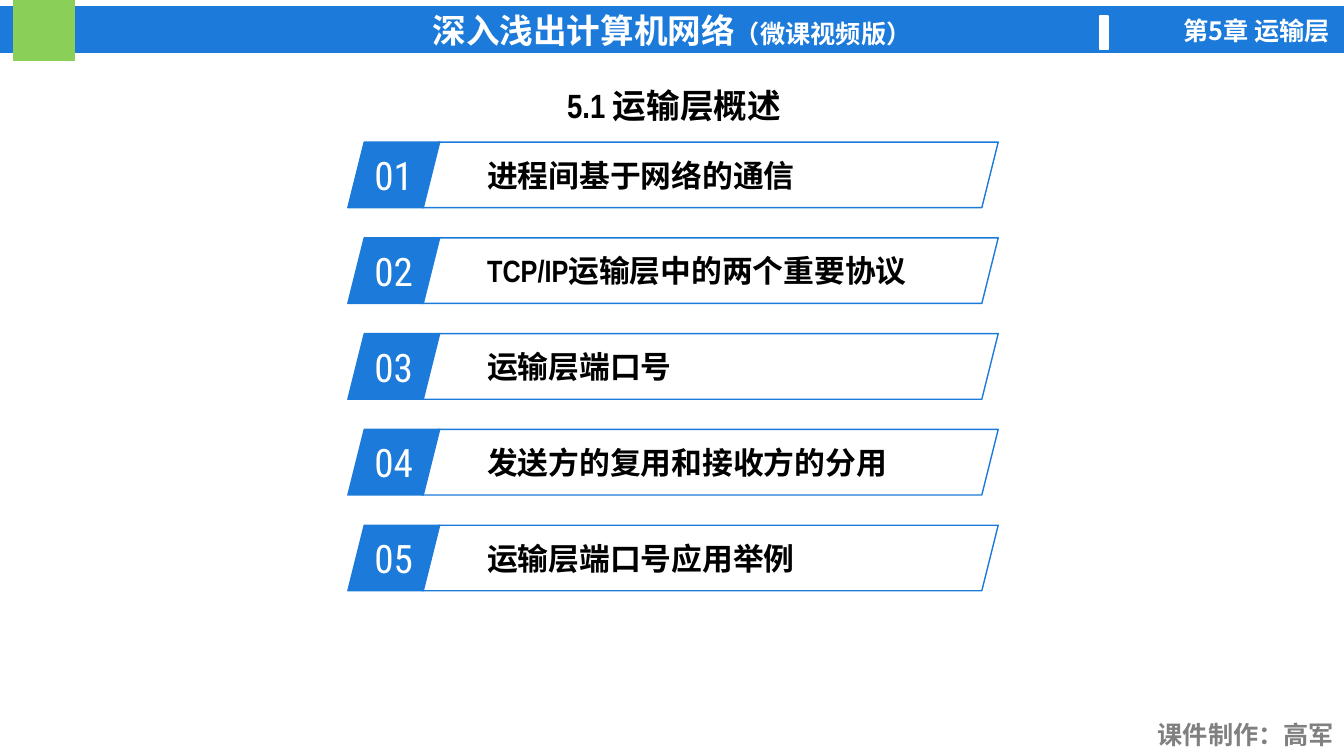
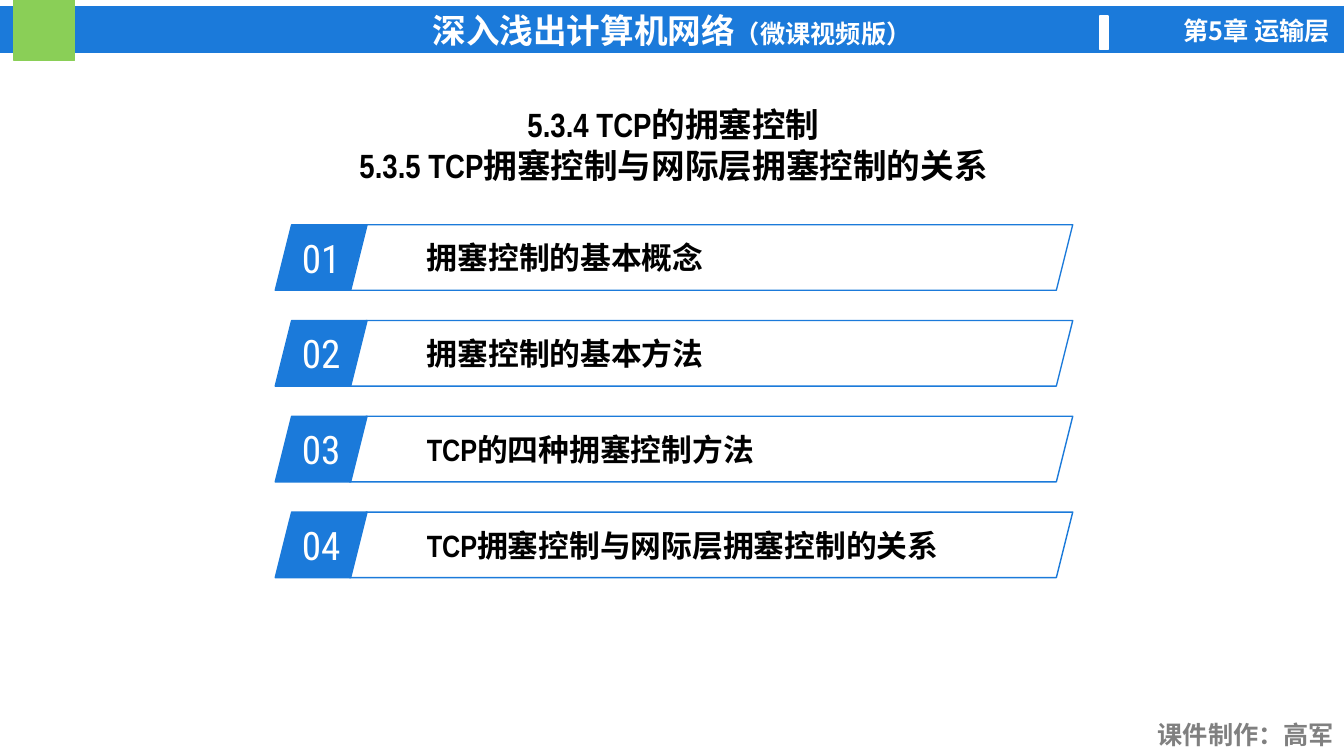
from dataclasses import dataclass

from lxml.etree import SubElement
from pptx import Presentation
from pptx.dml.color import RGBColor
from pptx.enum.lang import MSO_LANGUAGE_ID
from pptx.enum.shapes import MSO_SHAPE, PP_PLACEHOLDER
from pptx.enum.text import MSO_ANCHOR, MSO_AUTO_SIZE, PP_ALIGN
from pptx.oxml.ns import qn
from pptx.util import Inches, Pt


@dataclass(frozen=True)
class Theme:
    blue: str = "1B7ADA"
    green: str = "8ACF57"
    white: str = "FFFFFF"
    black: str = "000000"
    grey: str = "808080"
    narrow: str = "Arial Narrow"
    condensed: str = "Roboto Condensed"
    sans: str = "Noto Sans CJK SC"
    heading: int = 24
    small: int = 18
    item: int = 22
    number: int = 28


theme = Theme()

# Text styles: colour and typeface, then font attributes
book_style = dict(color=theme.white, name=theme.narrow, size=Pt(theme.heading), bold=True)
edition_style = book_style | dict(size=Pt(theme.small))
chapter_style = edition_style | dict(name=theme.sans)
credit_style = edition_style | dict(color=theme.grey)
heading_style = book_style | dict(color=theme.black)
item_style = heading_style | dict(size=Pt(theme.item))
condensed_style = item_style | dict(name=theme.condensed)
number_style = dict(color=theme.white, name=theme.condensed, size=Pt(theme.number), bold=False)

deck = Presentation()
deck.slide_width, deck.slide_height = Inches(13.33), Inches(7.5)


def place(part, area):
    """Put a part at left, top, width, height in percent of the slide."""
    sides = (deck.slide_width, deck.slide_height) * 2
    for edge, share, side in zip(("left", "top", "width", "height"), area, sides):
        setattr(part, edge, round(side * share / 100))
    return part


def write(part, lines, align, frame_format):
    """Fill a part with lines, each a list of (text, style) runs."""
    frame = part.text_frame
    for key, value in (dict(word_wrap=True) | frame_format).items():
        setattr(frame, key, value)
    for index, line in enumerate(lines):
        paragraph = frame.add_paragraph() if index else frame.paragraphs[0]
        paragraph.alignment = align
        for text, style in line:
            run = paragraph.add_run()
            run.text = text
            run.font.language_id = MSO_LANGUAGE_ID.SIMPLIFIED_CHINESE
            for key, value in style.items():
                if key == "color":
                    run.font.color.rgb = RGBColor.from_string(value)
                else:
                    setattr(run.font, key, value)
            east_asian = SubElement(run.font._element, qn("a:ea"))
            east_asian.set("typeface", style["name"])


middle = dict(vertical_anchor=MSO_ANCHOR.MIDDLE, auto_size=MSO_AUTO_SIZE.NONE)
growing = dict(vertical_anchor=MSO_ANCHOR.TOP, auto_size=MSO_AUTO_SIZE.SHAPE_TO_FIT_TEXT)

# Layout with only a title placeholder
layout = deck.slide_layouts.get_by_name("Title Only")
for placeholder in list(layout.placeholders):
    if placeholder.placeholder_format.type != PP_PLACEHOLDER.TITLE:
        placeholder.element.getparent().remove(placeholder.element)

# Content: heading lines, heading area, list left and top, bar width, items
sections = [
    (["5.1 运输层概述"], (32.56, 10.8, 35.18, 6.13), 25.88, 18.8, 42.84, [
        [("进程间基于网络的通信", condensed_style)],
        [("TCP/IP运输层中的两个重要", item_style), ("协议", condensed_style)],
        [("运输层端口号", condensed_style)],
        [("发送方的复用和接收方的分用", condensed_style)],
        [("运输层端口号应用举例", condensed_style)],
    ]),
    (["5.3.4 TCP的拥塞控制", "5.3.5 TCP拥塞控制与网际层拥塞控制的关系"],
     (24.16, 10.8, 51.91, 14), 20.48, 29.73, 53.79, [
        [("拥塞控制的基本概念", item_style)],
        [("拥塞控制的基本方法", item_style)],
        [("TCP的四种拥塞控制方法", item_style)],
        [("TCP拥塞控制与网际层拥塞控制的关系", item_style)],
    ]),
]
slides = [deck.slides.add_slide(layout) for _ in sections]

# Shared header and footer, drawn once and moved to the layout
drawing = slides[0].shapes
bands = []
for area, color in [
    ((0, 0.93, 100, 6), theme.blue),
    ((1.05, 0, 4.5, 8), theme.green),
    ((81.85, 2.13, 0.6, 4.4), theme.white),
]:
    band = place(drawing.add_shape(MSO_SHAPE.RECTANGLE, 0, 0, 0, 0), area)
    band.shadow.inherit = False
    band.fill.solid()
    band.fill.fore_color.rgb = band.line.color.rgb = RGBColor.from_string(color)
    band.line.width = Pt(1)
    bands.append(band)
book_title = [("深入浅出计算机网络", book_style), ("（微课视频版）", edition_style)]
write(bands[0], [book_title], PP_ALIGN.CENTER, middle)

captions = []
for text, style, area in [
    ("第5章 运输层", chapter_style, (83.35, 1.33, 16.35, 5.33)),
    ("课件制作：高军", credit_style, (85.07, 94.53, 14.93, 5.33)),
]:
    caption = place(drawing.add_textbox(0, 0, 0, 0), area)
    write(caption, [[(text, style)]], PP_ALIGN.RIGHT, growing)
    captions.append(caption)
for part in bands + captions:
    layout.shapes.element.append(part.element)

# Section slides: heading and numbered bars
row_pitch, row_height = 12.67, 8.67
tag_width, bar_offset = 6.83, 5.55
for slide, (heading, heading_area, left, top, bar_width, items) in zip(slides, sections):
    title = place(slide.shapes.title, heading_area)
    write(title, [[(line, heading_style)] for line in heading], PP_ALIGN.CENTER, middle)
    if len(heading) > 1:
        title.text_frame.paragraphs[0].line_spacing = 1.5

    for row, item in enumerate(items):
        row_top = top + row * row_pitch
        number = [(f"{row + 1:02}", number_style)]
        for cell_left, width, runs, align, filled in [
            (left, tag_width, number, PP_ALIGN.CENTER, True),
            (left + bar_offset, bar_width, item, PP_ALIGN.LEFT, False),
        ]:
            cell = slide.shapes.add_shape(MSO_SHAPE.PARALLELOGRAM, 0, 0, 0, 0)
            place(cell, (cell_left, row_top, width, row_height))
            cell.shadow.inherit = False
            if filled:
                cell.fill.solid()
                cell.fill.fore_color.rgb = RGBColor.from_string(theme.blue)
            else:
                cell.fill.background()
            cell.line.color.rgb = RGBColor.from_string(theme.blue)
            cell.line.width = Pt(1)
            write(cell, [runs], align, middle)

deck.save("out.pptx")
